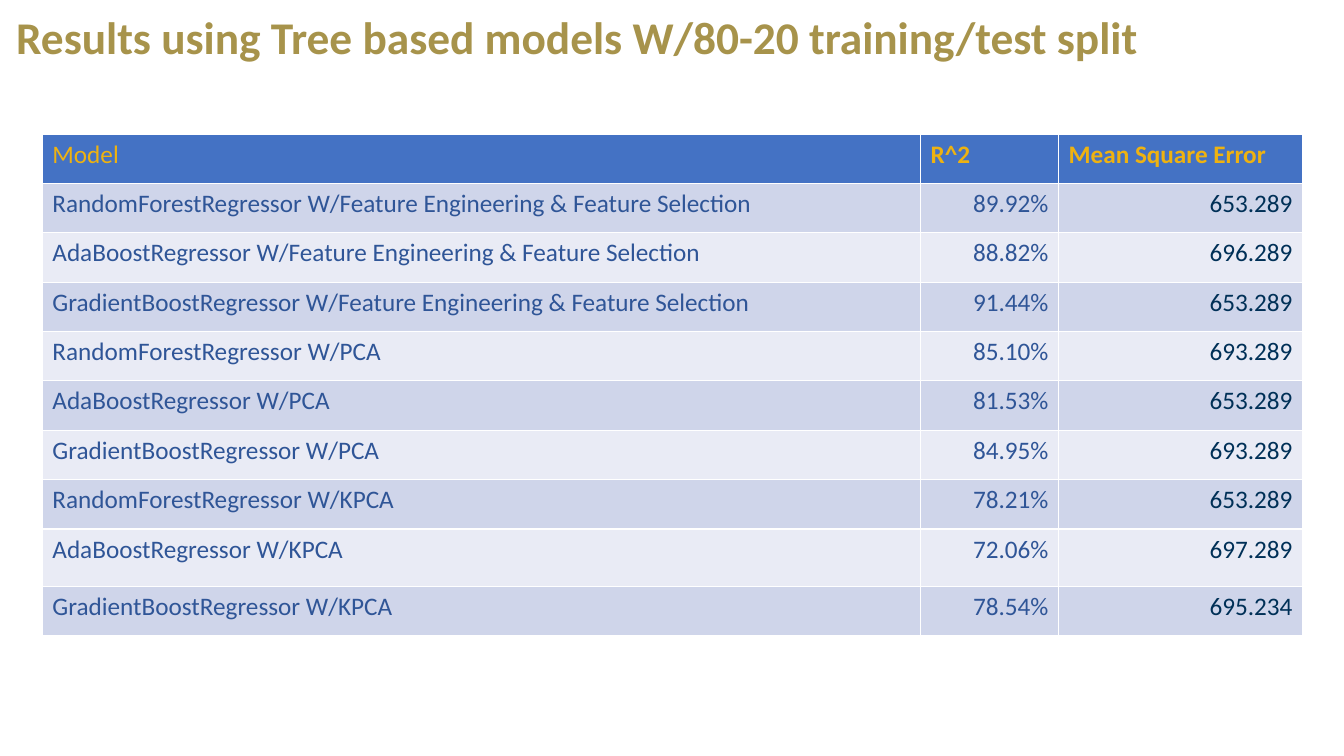
"""Build a slide comparing tree based regression models in one table."""
from dataclasses import dataclass

from pptx import Presentation
from pptx.dml.color import RGBColor as Color
from pptx.enum.text import MSO_ANCHOR as Anchor, PP_ALIGN as Align
from pptx.util import Inches, Pt


@dataclass(frozen=True)
class Theme:
    font: str = "Calibri"
    title_size: float = 32.4
    table_size: float = 18
    title: str = "A7934B"
    header_text: str = "EEB211"
    header_fill: str = "4472C4"
    bands: tuple = ("CFD5EA", "E9EBF5")
    columns: tuple = ("2F5597", "2F5597", "003057")


def style(paragraph, size, color, bold):
    font = paragraph.font
    font.name, font.size, font.bold = theme.font, Pt(size), bold
    font.color.rgb = Color.from_string(color)


theme = Theme()
headers = ("Model", "R^2", "Mean Square Error")
regressors = ("RandomForestRegressor", "AdaBoostRegressor", "GradientBoostRegressor")
methods = ("Feature Engineering & Feature Selection", "PCA", "KPCA")
scores = (
    ("89.92%", "653.289"), ("88.82%", "696.289"), ("91.44%", "653.289"),
    ("85.10%", "693.289"), ("81.53%", "653.289"), ("84.95%", "693.289"),
    ("78.21%", "653.289"), ("72.06%", "697.289"), ("78.54%", "695.234"),
)
models = [f"{regressor} W/{method}" for method in methods for regressor in regressors]
rows = [headers] + [(model, *score) for model, score in zip(models, scores)]

presentation = Presentation()
presentation.slide_width, presentation.slide_height = Inches(13.33), Inches(7.5)
slide = presentation.slides.add_slide(presentation.slide_layouts[5])

title = slide.shapes.title
title.left, title.top = Inches(0.06), Inches(0.09)
title.width, title.height = Inches(12.5), Inches(1.11)
title.text_frame.vertical_anchor = Anchor.TOP
title.text_frame.margin_top = Inches(0.06)
title.text = "Results using Tree based models W/80-20 training/test split"
heading = title.text_frame.paragraphs[0]
heading.alignment = Align.LEFT
heading.line_spacing = 0.9
style(heading, theme.title_size, theme.title, True)

table = slide.shapes.add_table(
    len(rows), len(headers), Inches(0.42), Inches(1.33), Inches(12.5), Inches(5.02)
).table
for column, width in zip(table.columns, (8.71, 1.37, 2.42)):
    column.width = Inches(width)
for row in table.rows:
    row.height = Inches(0.49)
table.rows[8].height = Inches(0.57)

for row_index, values in enumerate(rows):
    is_header = row_index == 0
    fill = theme.header_fill if is_header else theme.bands[(row_index - 1) % 2]
    for column_index, value in enumerate(values):
        cell = table.cell(row_index, column_index)
        cell.fill.solid()
        cell.fill.fore_color.rgb = Color.from_string(fill)
        cell.text = value
        paragraph = cell.text_frame.paragraphs[0]
        is_number = not is_header and column_index > 0
        paragraph.alignment = Align.RIGHT if is_number else Align.LEFT
        color = theme.header_text if is_header else theme.columns[column_index]
        style(paragraph, theme.table_size, color, is_header and column_index > 0)
        if is_header and column_index == 0:
            paragraph.runs[0].font.bold = False

presentation.save("out.pptx")
